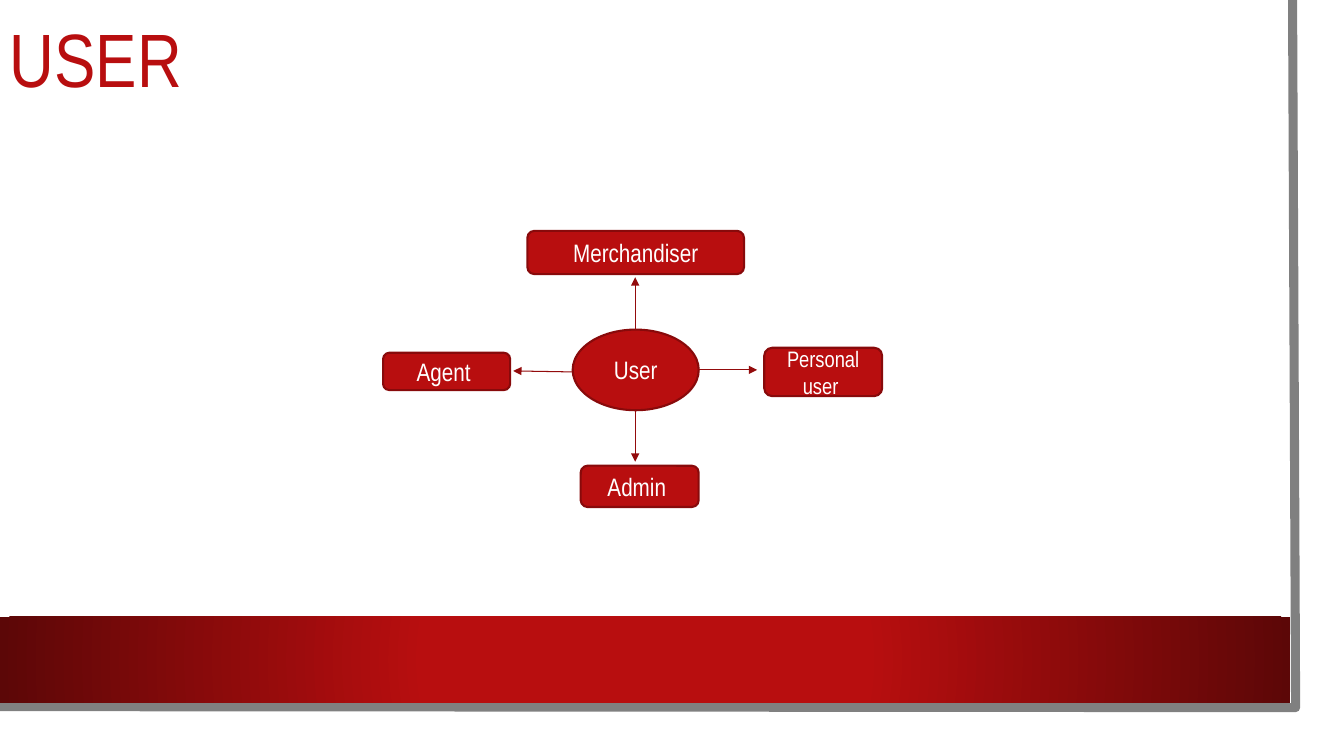
from dataclasses import dataclass

from lxml import etree
from pptx import Presentation, util as u
from pptx.dml.color import RGBColor
from pptx.enum import shapes, text
from pptx.oxml import parse_xml
from pptx.oxml.ns import nsdecls, qn

KIND = shapes.MSO_SHAPE


@dataclass(frozen=True)
class Theme:
    """Colours, font and type sizes of the slide."""
    red: str = "B80E0F"
    dark: str = "5C0707"
    edge: str = "880A0B"
    arrow: str = "930B0C"
    grey: str = "808080"
    white: str = "FFFFFF"
    font: str = "Arial Narrow"
    head: int = 54
    body: int = 18
    small: int = 16


def rgb(code):
    """Turn a hex code into a colour."""
    return RGBColor.from_string(code)


class Deck:
    """Draws the elements of the current slide in one style."""

    def __init__(self, theme):
        """Open a wide deck with one blank slide."""
        self.theme = theme
        self.prs = Presentation()
        self.prs.slide_width = u.Inches(13.33)
        self.prs.slide_height = u.Inches(7.5)
        slide = self.prs.slides.add_slide(self.prs.slide_layouts[6])
        self.items = slide.shapes

    def label(self, shape, words, size, color, align):
        """Set the words of a shape in the theme font."""
        frame = shape.text_frame
        frame.word_wrap = True
        frame.vertical_anchor = text.MSO_ANCHOR.MIDDLE
        frame.text = words
        para = frame.paragraphs[0]
        para.alignment = align
        font = para.runs[0].font
        font.name, font.size = self.theme.font, u.Pt(size)
        font.color.rgb = rgb(color)
        return para

    def title(self, words, *area):
        """Add the slide title."""
        box = self.items.add_textbox(*map(u.Inches, area))
        para = self.label(box, words, self.theme.head, self.theme.red, text.PP_ALIGN.LEFT)
        para.line_spacing = 0.9

    def panel(self, kind, area, color):
        """Add a flat shape without outline."""
        shape = self.items.add_shape(kind, *map(u.Inches, area))
        shape.shadow.inherit = False
        shape.fill.solid()
        shape.fill.fore_color.rgb = rgb(color)
        shape.line.fill.background()
        return shape

    def band(self, *area):
        """Add the red band that darkens away from its centre."""
        shape = self.panel(KIND.RECTANGLE, area, self.theme.red)
        shape.fill.gradient()
        looks = ((0.34, self.theme.red), (1, self.theme.dark))
        for stop, (place, color) in zip(shape.fill.gradient_stops, looks):
            stop.position = place
            stop.color.rgb = rgb(color)
        grad = shape._element.spPr.find(qn("a:gradFill"))
        grad.replace(grad.find(qn("a:lin")), parse_xml(
            f'<a:path {nsdecls("a")} path="circle">'
            '<a:fillToRect l="50000" t="50000" r="50000" b="50000"/></a:path>'))

    def border(self, *spots):
        """Add the thick grey edge through the given points."""
        first, *others = [tuple(map(u.Inches, spot)) for spot in spots]
        pen = self.items.build_freeform(*first)
        pen.add_line_segments(others, close=False)
        shape = pen.convert_to_shape()
        shape.shadow.inherit = False
        shape.fill.background()
        shape.line.color.rgb = rgb(self.theme.grey)
        shape.line.width = u.Pt(6.5)

    def node(self, words, area, kind=KIND.ROUNDED_RECTANGLE, size=None):
        """Add a labelled node of the diagram."""
        shape = self.panel(kind, area, self.theme.red)
        shape.line.color.rgb = rgb(self.theme.edge)
        shape.line.width = u.Pt(1.5)
        self.label(shape, words, size or self.theme.body, self.theme.white,
                   text.PP_ALIGN.CENTER)

    def arrow(self, *ends):
        """Add an arrow between two points."""
        link = self.items.add_connector(shapes.MSO_CONNECTOR.STRAIGHT, *map(u.Inches, ends))
        link.line.color.rgb = rgb(self.theme.arrow)
        link.line.width = u.Pt(0.75)
        props = link._element.spPr
        etree.SubElement(props.find(qn("a:ln")), qn("a:tailEnd"), type="triangle")
        etree.SubElement(props, qn("a:effectLst"))


def main():
    """Build the user diagram and save it."""
    theme = Theme()
    deck = Deck(theme)
    deck.panel(KIND.RECTANGLE, (0, 0, 13.1, 7.27), theme.white)
    deck.border((12.82, 0), (12.85, 7.02), (-0.03, 7.01))
    deck.band(0, 6.12, 12.8, 0.85)
    deck.title("USER", 0, 0, 11.37, 1.26)

    deck.node("User", (5.68, 3.27, 1.25, 0.8), KIND.OVAL)
    deck.node("Personal user ", (7.58, 3.45, 1.17, 0.48), size=theme.small)
    deck.node("Agent ", (3.8, 3.5, 1.26, 0.37))
    deck.node("Admin ", (5.76, 4.62, 1.17, 0.41))
    deck.node("Merchandiser", (5.23, 2.29, 2.15, 0.43))

    deck.arrow(6.92, 3.67, 7.51, 3.67)
    deck.arrow(5.68, 3.69, 5.09, 3.68)
    deck.arrow(6.3, 4.07, 6.3, 4.58)
    deck.arrow(6.3, 3.27, 6.3, 2.75)
    deck.prs.save("out.pptx")


if __name__ == "__main__":
    main()
